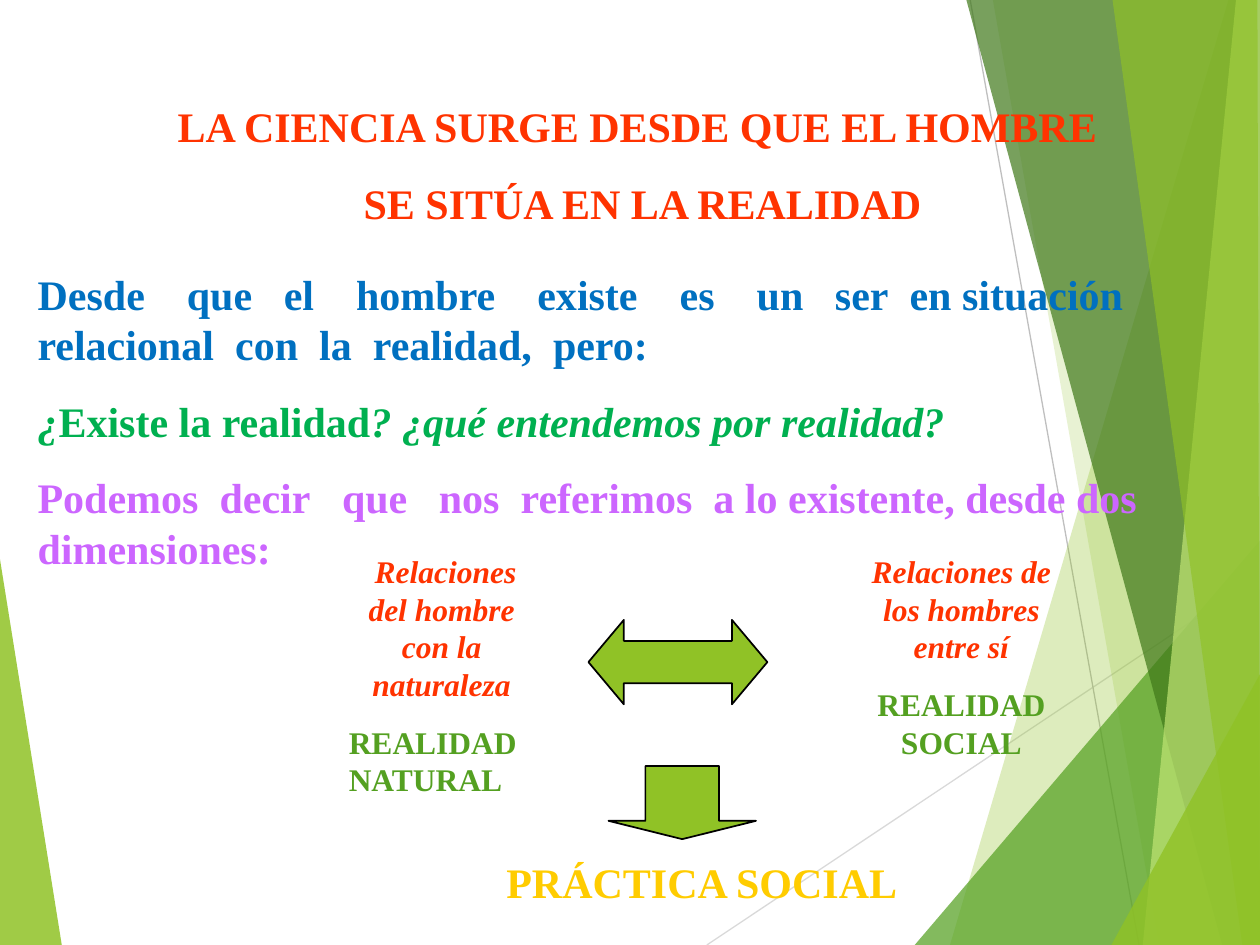
from lxml import etree
from pptx import Presentation
from pptx.dml.color import RGBColor
from pptx.enum.shapes import MSO_CONNECTOR, MSO_SHAPE
from pptx.enum.text import MSO_ANCHOR, PP_ALIGN
from pptx.oxml.ns import qn
from pptx.util import Inches, Pt

STRAIGHT = MSO_CONNECTOR.STRAIGHT
DOWN_ARROW, DOUBLE_ARROW = MSO_SHAPE.DOWN_ARROW, MSO_SHAPE.LEFT_RIGHT_ARROW
TOP = MSO_ANCHOR.TOP
LEFT, CENTER = PP_ALIGN.LEFT, PP_ALIGN.CENTER

COLORS = {
    "lime": "90C226", "green": "54A021", "forest": "3F7819", "pale": "C0E474",
    "light_gray": "D9D9D9", "gray": "BFBFBF", "black": "000000",
    "red": "FF3300", "blue": "0070C0", "emerald": "00B050",
    "violet": "CC66FF", "gold": "FFCC00",
}
FONT = "Times New Roman"
WIDTH, HEIGHT = 10, 7.5

# Corners in inches, colour, opacity in percent; from back to front
LEFT_FACET = ([(0, 4.44), (0.49, 7.5), (0, 7.5)], "lime", 85)
RIGHT_FACETS = [
    ([(9.75, 0), (7.54, 7.5), (10, 7.5), (10, 0)], "lime", 30),
    ([(7.88, 0), (9.2, 7.5), (10, 7.5), (10, 0)], "lime", 20),
    ([(7.26, 7.5), (10, 4.29), (10, 7.5)], "green", 72),
    ([(7.67, 0), (9.7, 7.5), (10, 7.5), (10, 0)], "forest", 70),
    ([(9.81, 0), (9.07, 7.5), (10, 7.5), (10, 0)], "pale", 70),
    ([(8.83, 0), (9.86, 7.5), (10, 7.5), (9.98, 0)], "lime", 65),
    ([(8.82, 7.5), (10, 5.35), (10, 7.5)], "lime", 80),
]
RAYS = [((5.61, 7.5), (10, 4.57), "light_gray"), ((7.7, 0), (9.04, 7.5), "gray")]

# Fragments with the points added to the space that follows each
INTRO = [
    ("Desde", 18), ("que", 12), ("el", 18), ("hombre", 18), ("existe", 18),
    ("es", 18), ("un", 12), ("ser", 6), ("en situación", 0), ("relacional", 6),
    ("con", 6), ("la", 6), ("realidad,", 6), ("pero:", 0),
]
DIMENSIONS = [
    ("Podemos", 6), ("decir", 12), ("que", 12), ("nos", 6), ("referimos", 6),
    ("a lo existente, desde dos dimensiones:", 0),
]


def rgb(name):
    return RGBColor.from_string(COLORS[name])


def add_facet(slide, left, top, corners, color, opacity):
    """Draw one translucent polygon without an outline."""
    points = [(Inches(left + x), Inches(top + y)) for x, y in corners]
    builder = slide.shapes.build_freeform(*points[0])
    builder.add_line_segments(points[1:], close=True)
    facet = builder.convert_to_shape()
    facet.shadow.inherit = False
    facet.line.fill.background()
    facet.fill.solid()
    facet.fill.fore_color.rgb = rgb(color)
    tint = facet.fill._xPr.find(qn("a:solidFill"))[0]
    etree.SubElement(tint, qn("a:alpha")).set("val", str(opacity * 1000))


def add_ray(slide, left, top, start, end, color):
    ends = [Inches(a + b) for point in (start, end) for a, b in zip((left, top), point)]
    ray = slide.shapes.add_connector(STRAIGHT, *ends)
    ray.line.color.rgb = rgb(color)
    ray.line.width = Pt(0.75)
    etree.SubElement(ray._element.spPr, qn("a:effectLst"))


def add_backdrop(slide, left, top):
    add_facet(slide, left, top, *LEFT_FACET)
    for ray in RAYS:
        add_ray(slide, left, top, *ray)
    for facet in RIGHT_FACETS:
        add_facet(slide, left, top, *facet)


def spaced_runs(fragments, color):
    """Join fragments by single spaces, widened by character spacing."""
    runs = []
    for text, extra in fragments:
        runs += [(text, color, False), (" ", color, False, extra)]
    return runs[:-1]


def add_run(paragraph, size, text, color, italic, spacing=0):
    run = paragraph.add_run()
    run.text = text
    run.font.color.rgb = rgb(color)
    font_format = {"name": FONT, "size": Pt(size), "bold": True, "italic": italic}
    for key, value in font_format.items():
        setattr(run.font, key, value)
    if spacing:
        run._r.get_or_add_rPr().set("spc", str(spacing * 100))


def add_text(slide, box, paragraphs, size, space_before=0, wrap=True):
    """Each paragraph is (alignment, [(text, colour, italic, spacing), ...])."""
    frame = slide.shapes.add_textbox(*map(Inches, box)).text_frame
    settings = {
        "word_wrap": wrap, "vertical_anchor": TOP,
        "margin_left": Inches(0.1), "margin_right": Inches(0.1),
        "margin_top": Inches(0.05), "margin_bottom": Inches(0.05),
    }
    for key, value in settings.items():
        setattr(frame, key, value)
    for index, (alignment, runs) in enumerate(paragraphs):
        paragraph = frame.add_paragraph() if index else frame.paragraphs[0]
        paragraph.alignment = alignment
        paragraph.space_before = Pt(space_before)
        for run in runs:
            add_run(paragraph, size, *run)


def add_title(slide, box):
    lines = ("LA CIENCIA SURGE DESDE QUE EL HOMBRE ", "SE SITÚA EN LA REALIDAD")
    add_text(slide, box, [(CENTER, [(line, "red", False)]) for line in lines], 24, 15)


def add_argument(slide, box):
    question = [
        ("¿", "emerald", True),
        ("Existe la realidad", "emerald", False),
        ("? ¿qué entendemos por realidad?", "emerald", True),
    ]
    add_text(slide, box, [
        (LEFT, spaced_runs(INTRO, "blue")),
        (LEFT, question),
        (LEFT, spaced_runs(DIMENSIONS, "violet")),
    ], 24, 15)


def add_dimension(slide, box, relation, reality, reality_alignment):
    add_text(slide, box, [
        (CENTER, [(relation, "red", True)]),
        (reality_alignment, [(reality, "green", False)]),
    ], 18, 11.2)


def add_arrow(slide, box, kind, adjustments):
    arrow = slide.shapes.add_shape(kind, *map(Inches, box))
    arrow.shadow.inherit = False
    arrow.fill.solid()
    arrow.fill.fore_color.rgb = rgb("lime")
    arrow.line.color.rgb = rgb("black")
    arrow.line.width = Pt(1)
    for index, value in enumerate(adjustments):
        arrow.adjustments[index] = value


def add_dimensions_diagram(slide, left, top):
    """Two dimensions of reality, joined by an arrow and leading to practice."""
    add_arrow(slide, (left + 2.16, top + 1.75, 1.17, 0.58), DOWN_ARROW, (0.5, 0.25))
    add_dimension(slide, (left, top, 1.67, 2.06),
                  " Relaciones del hombre con la naturaleza", "REALIDAD NATURAL", LEFT)
    add_dimension(slide, (left + 4, top, 1.92, 2.67),
                  "Relaciones de los hombres entre sí", "REALIDAD SOCIAL", CENTER)
    add_text(slide, (left + 1.25, top + 2.42, 3.32, 0.5),
             [(LEFT, [("PRÁCTICA SOCIAL", "gold", False)])], 24, wrap=False)
    add_arrow(slide, (left + 2, top + 0.59, 1.42, 0.67), DOUBLE_ARROW, (0.5, 0.42))


def main():
    presentation = Presentation()
    presentation.slide_width, presentation.slide_height = Inches(WIDTH), Inches(HEIGHT)
    slide = presentation.slides.add_slide(presentation.slide_layouts[6])
    add_backdrop(slide, 0, 0)
    add_title(slide, (0.2, 0.75, 9.8, 1.11))
    add_argument(slide, (0.2, 2.08, 9.39, 3.74))
    add_dimensions_diagram(slide, 2.67, 4.33)
    presentation.save("out.pptx")


if __name__ == "__main__":
    main()
